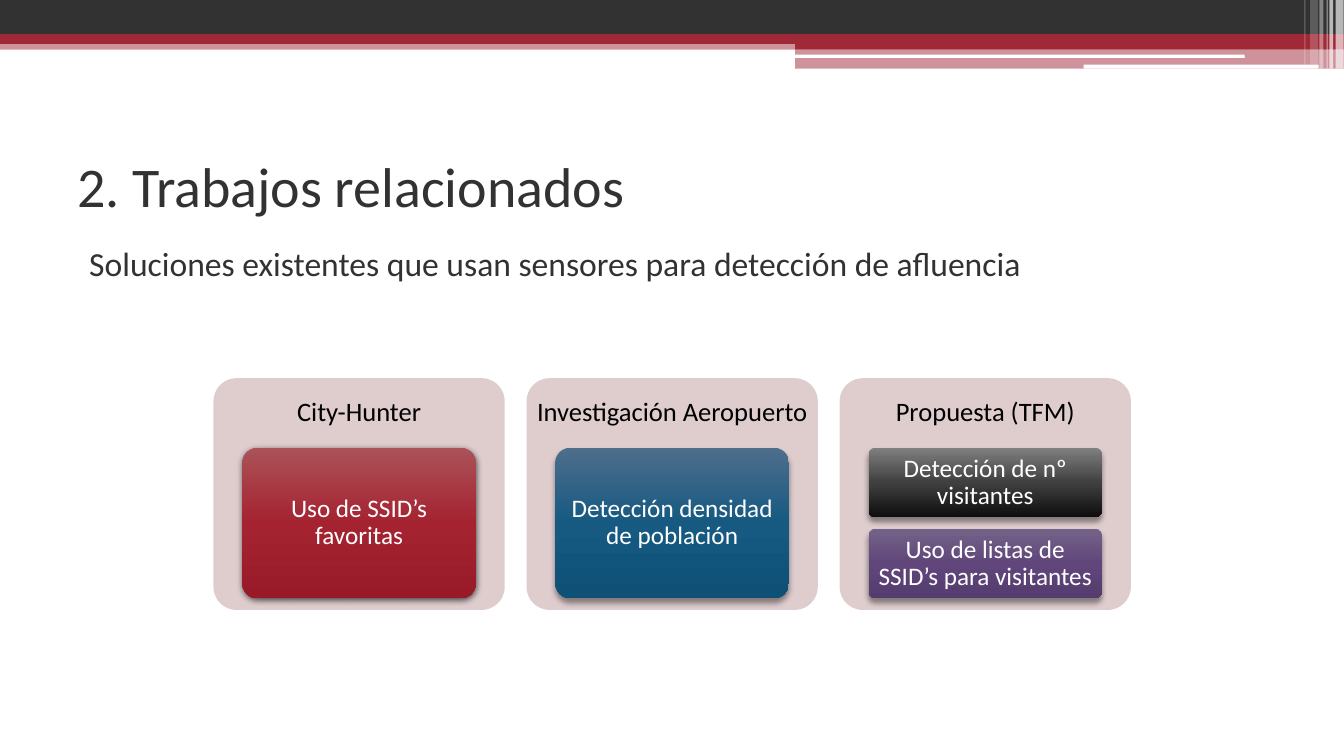
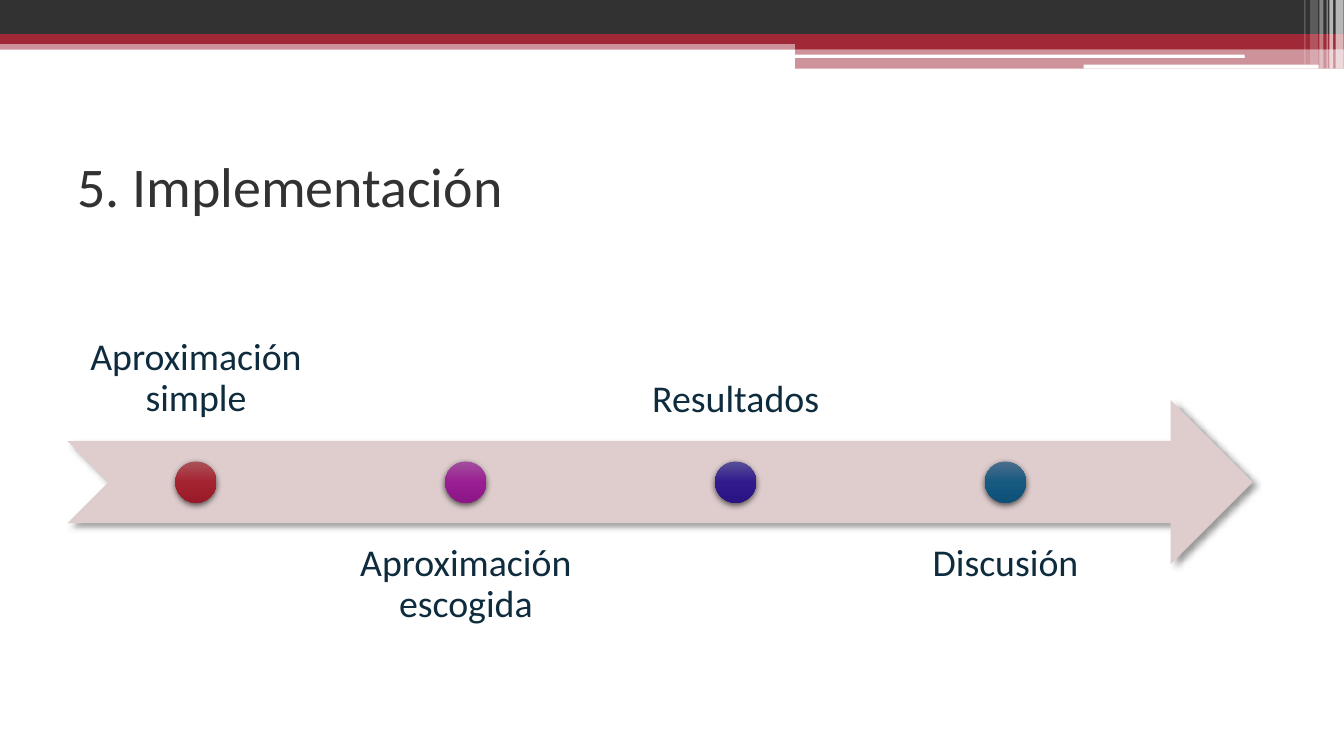
from dataclasses import dataclass
from typing import NamedTuple

import lxml.etree
import pptx
import pptx.dml.color
import pptx.enum.shapes
import pptx.enum.text
import pptx.oxml.ns
import pptx.presentation
import pptx.shapes.autoshape
import pptx.slide
import pptx.util

Cm = pptx.util.Cm
Pt = pptx.util.Pt
RGBColor = pptx.dml.color.RGBColor
Kind = pptx.enum.shapes.MSO_SHAPE
Anchor = pptx.enum.text.MSO_ANCHOR
Align = pptx.enum.text.PP_ALIGN
qn = pptx.oxml.ns.qn

SLIDE_WIDTH, SLIDE_HEIGHT = 33.87, 19.05
FONT = "Calibri"

WHITE = RGBColor(0xFF, 0xFF, 0xFF)
BLACK = RGBColor(0x00, 0x00, 0x00)
CHARCOAL = RGBColor(0x32, 0x32, 0x32)
CRIMSON = RGBColor(0x9F, 0x29, 0x36)
ROSE = RGBColor(0xDF, 0xCD, 0xCE)
NAVY = RGBColor(0x0E, 0x2C, 0x3E)


class Box(NamedTuple):
    """Position and size in centimetres."""
    left: float
    top: float
    width: float
    height: float


class Gradient(NamedTuple):
    """Colours of a fill that runs from top to bottom."""
    top: RGBColor
    middle: RGBColor
    bottom: RGBColor


class Shadow(NamedTuple):
    """Black outer shadow: opacity in percent, lengths in points, angle in degrees."""
    opacity: int
    blur: float
    distance: float
    angle: int


@dataclass(frozen=True)
class Band:
    """One strip of the page header."""
    box: Box
    color: RGBColor
    opacity: int = 100
    kind: Kind = Kind.RECTANGLE


@dataclass(frozen=True)
class Tile:
    """A labelled gradient box inside a card."""
    text: str
    fill: Gradient
    shadow: Shadow


@dataclass(frozen=True)
class Card:
    """A headed panel with stacked tiles."""
    heading: str
    tiles: tuple[Tile, ...]


@dataclass(frozen=True)
class Milestone:
    """A dot on the timeline with its label."""
    text: str
    fill: Gradient


RED = Gradient(RGBColor(0xAB, 0x52, 0x58), RGBColor(0xA5, 0x23, 0x31), RGBColor(0x98, 0x1A, 0x28))
BLUE = Gradient(RGBColor(0x4E, 0x6E, 0x8C), RGBColor(0x16, 0x59, 0x81), RGBColor(0x0F, 0x50, 0x77))
GRAY = Gradient(RGBColor(0x80, 0x80, 0x80), RGBColor(0x40, 0x40, 0x40), RGBColor(0x0D, 0x0D, 0x0D))
VIOLET = Gradient(RGBColor(0x74, 0x63, 0x88), RGBColor(0x60, 0x46, 0x7A), RGBColor(0x55, 0x3C, 0x6F))
MAGENTA = Gradient(RGBColor(0xA1, 0x50, 0x9C), RGBColor(0x99, 0x1E, 0x93), RGBColor(0x8D, 0x16, 0x87))
INDIGO = Gradient(RGBColor(0x58, 0x4F, 0x97), RGBColor(0x32, 0x1A, 0x8D), RGBColor(0x2A, 0x13, 0x82))

TIGHT_SHADOW = Shadow(63, 4.5, 1.5, 90)
SOFT_SHADOW = Shadow(40, 4, 3, 90)
ARROW_SHADOW = Shadow(40, 4, 3, 45)

BANDS = (
    Band(Box(0, 1.02, SLIDE_WIDTH, 0.23), CRIMSON, 50),
    Band(Box(0, 0, SLIDE_WIDTH, 0.86), CHARCOAL),
    Band(Box(0, 0.86, SLIDE_WIDTH, 0.25), CRIMSON),
    Band(Box(20.04, 0.99, 13.83, 0.25), CRIMSON),
    Band(Box(20.04, 1.23, 13.83, 0.5), CRIMSON, 50),
    Band(Box(20.02, 1.38, 11.35, 0.08), WHITE, kind=Kind.ROUNDED_RECTANGLE),
    Band(Box(27.31, 1.63, 5.92, 0.1), WHITE, kind=Kind.ROUNDED_RECTANGLE),
    Band(Box(33.66, 0, 0.2, 1.73), WHITE, 65),
    Band(Box(33.5, 0, 0.1, 1.73), WHITE, 65),
    Band(Box(33.43, 0, 0.03, 1.73), WHITE, 60),
    Band(Box(33.25, 0, 0.1, 1.73), WHITE, 40),
    Band(Box(33.02, 0, 0.2, 1.63), WHITE, 20),
    Band(Box(32.87, 0, 0.03, 1.63), WHITE, 30),
)

CARDS = (
    Card("City-Hunter", (Tile("Uso de SSID’s favoritas", RED, TIGHT_SHADOW),)),
    Card("Investigación Aeropuerto", (Tile("Detección densidad de población", BLUE, SOFT_SHADOW),)),
    Card("Propuesta (TFM)", (
        Tile("Detección de nº visitantes", GRAY, SOFT_SHADOW),
        Tile("Uso de listas de SSID’s para visitantes", VIOLET, SOFT_SHADOW),
    )),
)
FIRST_CARD = Box(5.38, 9.53, 7.34, 5.84)
CARD_PITCH = 7.89
HEADING_HEIGHT = 1.75
TILE_MARGIN = 0.73
TILE_AREA_HEIGHT = 3.8
TILE_GAP = 0.28

MILESTONES = (
    Milestone("Aproximación simple", RED),
    Milestone("Aproximación escogida", MAGENTA),
    Milestone("Resultados", INDIGO),
    Milestone("Discusión", BLUE),
)
ARROW = Box(1.7, 10.08, 29.87, 4.14)
MILESTONE_PITCH = 6.8
LABEL_WIDTH = 6.48
DOT_SIZE = 1.04


def add_child(parent: lxml.etree._Element, tag: str, **attributes: object) -> lxml.etree._Element:
    """Append a drawing element with the given attributes."""
    values = {name: str(value) for name, value in attributes.items()}
    return lxml.etree.SubElement(parent, qn(tag), values)


def paint_gradient(shape: pptx.shapes.autoshape.Shape, gradient: Gradient) -> None:
    """Fill a shape with three evenly spaced stops from top to bottom."""
    shape.fill.gradient()
    shape.fill.gradient_angle = 270
    stops = shape.element.find(".//" + qn("a:gsLst"))
    stops.clear()
    for index, color in enumerate(gradient):
        stop = add_child(stops, "a:gs", pos=index * 50000)
        add_child(stop, "a:srgbClr", val=color)


def cast_shadow(shape: pptx.shapes.autoshape.Shape, shadow: Shadow) -> None:
    """Give a shape an outer shadow."""
    effects = shape.element.find(".//" + qn("a:effectLst"))
    outer = add_child(effects, "a:outerShdw", blurRad=int(Pt(shadow.blur)),
                      dist=int(Pt(shadow.distance)), dir=shadow.angle * 60000, rotWithShape=0)
    color = add_child(outer, "a:srgbClr", val=BLACK)
    add_child(color, "a:alpha", val=shadow.opacity * 1000)


def add_shape(slide: pptx.slide.Slide, kind: Kind, box: Box, fill: RGBColor | Gradient, *,
              opacity: int = 100, corner: float | None = None,
              shadow: Shadow | None = None) -> pptx.shapes.autoshape.Shape:
    """Add a shape without outline."""
    shape = slide.shapes.add_shape(kind, *map(Cm, box))
    shape.line.fill.background()
    shape.shadow.inherit = False
    if corner is not None:
        shape.adjustments[0] = corner
    if isinstance(fill, Gradient):
        paint_gradient(shape, fill)
    else:
        shape.fill.solid()
        shape.fill.fore_color.rgb = fill
    if opacity < 100:
        color = shape.element.spPr.find(".//" + qn("a:srgbClr"))
        add_child(color, "a:alpha", val=opacity * 1000)
    if shadow:
        cast_shadow(shape, shadow)
    return shape


def write_text(shape: pptx.shapes.autoshape.Shape, text: str, *, size: float, color: RGBColor,
               align: Align = Align.CENTER, anchor: Anchor = Anchor.MIDDLE,
               inset: tuple[float, float] = (0.25, 0.13), spacing: float = 0.9,
               space_before: float = 0) -> None:
    """Write one paragraph; inset holds the side and the vertical margins in centimetres."""
    frame = shape.text_frame
    frame.word_wrap = True
    frame.vertical_anchor = anchor
    frame.margin_left = frame.margin_right = Cm(inset[0])
    frame.margin_top = frame.margin_bottom = Cm(inset[1])
    paragraph = frame.paragraphs[0]
    paragraph.alignment = align
    paragraph.line_spacing = spacing
    paragraph.space_before = Pt(space_before)
    run = paragraph.add_run()
    run.text = text
    run.font.name = FONT
    run.font.size = Pt(size)
    run.font.color.rgb = color


def add_text_box(slide: pptx.slide.Slide, box: Box) -> pptx.shapes.autoshape.Shape:
    """Add an empty text box."""
    return slide.shapes.add_textbox(*map(Cm, box))


def add_page(presentation: pptx.presentation.Presentation, title: str) -> pptx.slide.Slide:
    """Add a blank slide with the header bands and a title."""
    slide = presentation.slides.add_slide(presentation.slide_layouts[6])
    for band in BANDS:
        add_shape(slide, band.kind, band.box, band.color, opacity=band.opacity)
    write_text(add_text_box(slide, Box(1.7, 3.18, 30.48, 2.97)), title,
               size=40, color=CHARCOAL, align=Align.LEFT, spacing=1)
    return slide


def add_card(slide: pptx.slide.Slide, card: Card, box: Box) -> None:
    """Draw a card and share its lower part among its tiles."""
    add_shape(slide, Kind.ROUNDED_RECTANGLE, box, ROSE, corner=0.1)
    write_text(add_text_box(slide, box._replace(height=HEADING_HEIGHT)), card.heading,
               size=19, color=BLACK, inset=(0.2, 0.2))
    height = (TILE_AREA_HEIGHT + TILE_GAP) / len(card.tiles) - TILE_GAP
    for index, tile in enumerate(card.tiles):
        top = box.top + HEADING_HEIGHT + index * (height + TILE_GAP)
        tile_box = Box(box.left + TILE_MARGIN, top, box.width - 2 * TILE_MARGIN, height)
        shape = add_shape(slide, Kind.ROUNDED_RECTANGLE, tile_box, tile.fill,
                          corner=0.1, shadow=tile.shadow)
        write_text(shape, tile.text, size=18, color=WHITE, inset=(0.13, 0.1))


def add_milestone(slide: pptx.slide.Slide, milestone: Milestone, index: int) -> None:
    """Draw a dot on the arrow, with its label above or below by turns."""
    above = index % 2 == 0
    left = ARROW.left + index * MILESTONE_PITCH
    offset = 0.75 * ARROW.height
    label = Box(left, ARROW.top + (-offset if above else offset), LABEL_WIDTH, ARROW.height)
    write_text(add_text_box(slide, label), milestone.text, size=27, color=NAVY,
               anchor=Anchor.BOTTOM if above else Anchor.TOP, inset=(0.53, 0.53))
    dot = Box(left + (LABEL_WIDTH - DOT_SIZE) / 2, ARROW.top + (ARROW.height - DOT_SIZE) / 2,
              DOT_SIZE, DOT_SIZE)
    add_shape(slide, Kind.OVAL, dot, milestone.fill, shadow=TIGHT_SHADOW)


def build_related_work(presentation: pptx.presentation.Presentation) -> None:
    """Build the slide that compares existing solutions."""
    slide = add_page(presentation, "2. Trabajos relacionados")
    write_text(add_text_box(slide, Box(1.7, 5.99, 30.48, 1.5)),
               "Soluciones existentes que usan sensores para detección de afluencia",
               size=24, color=CHARCOAL, align=Align.LEFT, anchor=Anchor.TOP,
               inset=(0.55, 0.13), spacing=1, space_before=3)
    for index, card in enumerate(CARDS):
        add_card(slide, card, FIRST_CARD._replace(left=FIRST_CARD.left + index * CARD_PITCH))


def build_implementation(presentation: pptx.presentation.Presentation) -> None:
    """Build the slide with the implementation timeline."""
    slide = add_page(presentation, "5. Implementación")
    add_shape(slide, Kind.NOTCHED_RIGHT_ARROW, ARROW, ROSE, shadow=ARROW_SHADOW)
    for index, milestone in enumerate(MILESTONES):
        add_milestone(slide, milestone, index)


def main() -> None:
    """Build and save the presentation."""
    presentation = pptx.Presentation()
    presentation.slide_width = Cm(SLIDE_WIDTH)
    presentation.slide_height = Cm(SLIDE_HEIGHT)
    build_related_work(presentation)
    build_implementation(presentation)
    presentation.save("out.pptx")


main()
